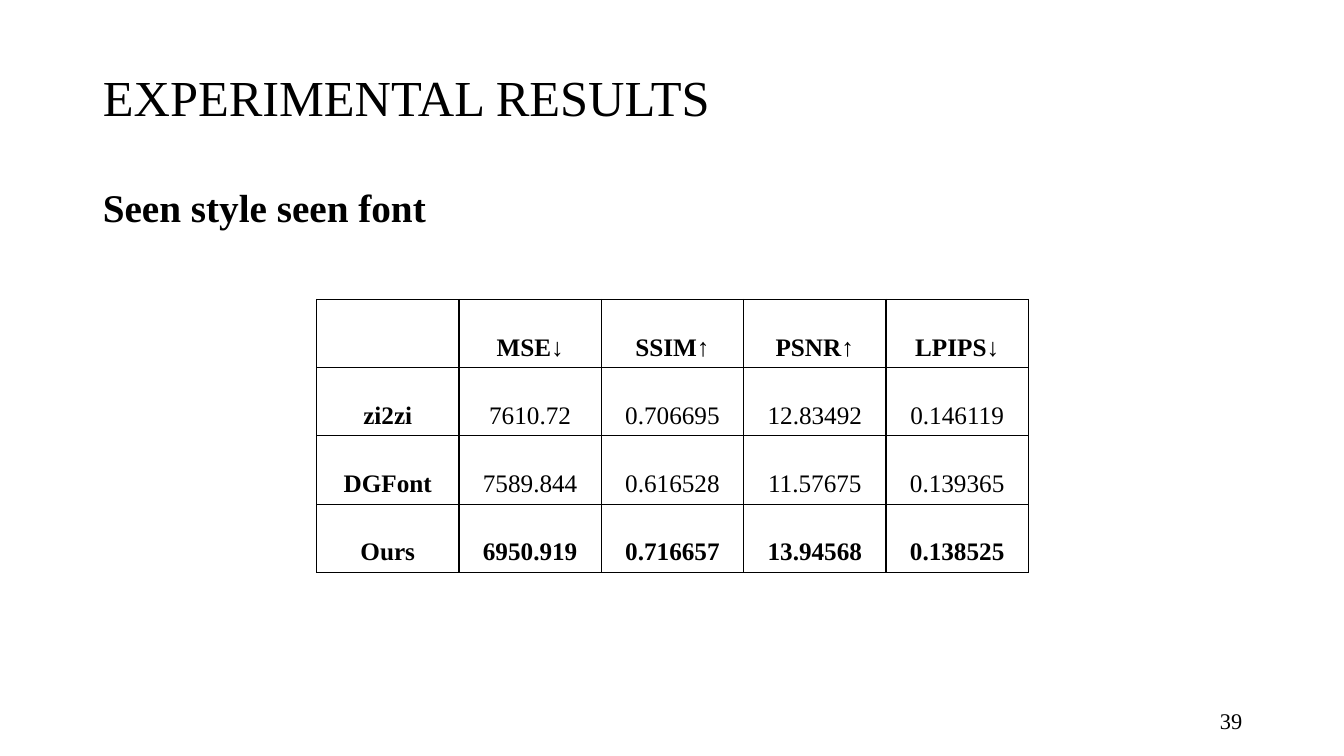
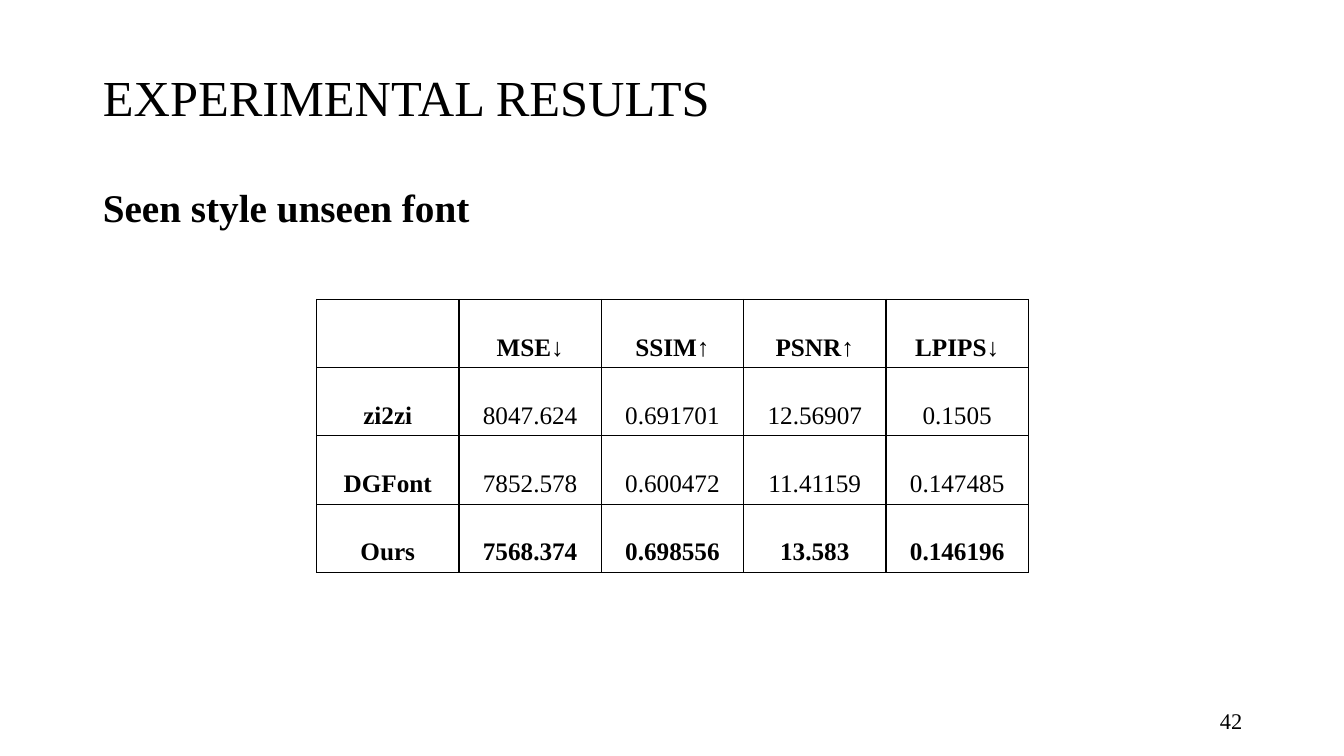
from lxml.etree import SubElement
from pptx import Presentation
from pptx.dml.color import RGBColor
from pptx.enum.text import MSO_ANCHOR, MSO_AUTO_SIZE, PP_ALIGN
from pptx.oxml.ns import qn
from pptx.util import Inches, Pt

FONT = "Times New Roman"
INK = "000000"
PAPER = "FFFFFF"

# Boxes: left, top, width, height in inches
TITLE_BOX = (0.92, 0.4, 11.5, 1.19)
BODY_BOX = (0.92, 1.82, 11.5, 5.19)
TABLE_BOX = (3.14, 2.97, 7.06, 2.71)
NUMBER_BOX = (9.42, 6.95, 3, 0.4)

METRICS = ["", "MSE↓", "SSIM↑", "PSNR↑", "LPIPS↓"]
RESULTS = [
    ("Seen style seen font", "39", [
        ["zi2zi", "7610.72", "0.706695", "12.83492", "0.146119"],
        ["DGFont", "7589.844", "0.616528", "11.57675", "0.139365"],
        ["Ours", "6950.919", "0.716657", "13.94568", "0.138525"],
    ]),
    ("Seen style unseen font", "42", [
        ["zi2zi", "8047.624", "0.691701", "12.56907", "0.1505"],
        ["DGFont", "7852.578", "0.600472", "11.41159", "0.147485"],
        ["Ours", "7568.374", "0.698556", "13.583", "0.146196"],
    ]),
]


def color(value):
    return RGBColor.from_string(value)


def place(shape, box):
    shape.left, shape.top, shape.width, shape.height = map(Inches, box)


def write(frame, text, size, align, bold=False, spacing=1.0):
    para = frame.paragraphs[0]
    para.alignment = align
    para.line_spacing = spacing
    para.space_before = Pt(0)
    span = para.add_run()
    span.text = text
    span.font.name = FONT
    span.font.size = Pt(size)
    span.font.bold = bold
    span.font.color.rgb = color(INK)


def fix_frame(frame, anchor):
    frame.word_wrap = True
    frame.auto_size = MSO_AUTO_SIZE.NONE
    frame.vertical_anchor = anchor


def add_title(page, box, text):
    title = page.shapes.title
    place(title, box)
    fix_frame(title.text_frame, MSO_ANCHOR.MIDDLE)
    write(title.text_frame, text, 36, PP_ALIGN.LEFT, spacing=0.9)


def add_heading(page, box, text):
    body = page.placeholders[1]
    place(body, box)
    frame = body.text_frame
    fix_frame(frame, MSO_ANCHOR.TOP)
    # Plain paragraph: no bullet, no hanging indent
    properties = frame.paragraphs[0]._p.get_or_add_pPr()
    properties.set("marL", "0")
    properties.set("indent", "0")
    SubElement(properties, qn("a:buNone"))
    write(frame, text, 28, PP_ALIGN.JUSTIFY, bold=True, spacing=0.9)


def add_borders(cell):
    properties = cell._tc.get_or_add_tcPr()
    for side in ("a:lnL", "a:lnR", "a:lnT", "a:lnB"):
        line = SubElement(properties, qn(side), w=str(Pt(1)))
        fill = SubElement(line, qn("a:solidFill"))
        SubElement(fill, qn("a:srgbClr"), val=INK)


def add_results_table(page, box, rows):
    table = page.shapes.add_table(
        len(rows), len(rows[0]), *map(Inches, box)).table
    table.first_row = table.horz_banding = False
    last_row = len(rows) - 1
    for row_index, row in enumerate(rows):
        for column_index, text in enumerate(row):
            cell = table.cell(row_index, column_index)
            add_borders(cell)
            cell.fill.background()
            cell.vertical_anchor = MSO_ANCHOR.MIDDLE
            cell.margin_left = cell.margin_right = Inches(0.07)
            cell.margin_top = cell.margin_bottom = 0
            if text:
                # Headers and the winning row stand out
                bold = row_index in (0, last_row) or column_index == 0
                write(cell.text_frame, text, 18, PP_ALIGN.CENTER, bold, 2.0)


def add_page_number(page, box, number):
    frame = page.shapes.add_textbox(*map(Inches, box)).text_frame
    fix_frame(frame, MSO_ANCHOR.MIDDLE)
    write(frame, number, 16, PP_ALIGN.RIGHT)


def add_results_page(deck, heading, number, rows):
    page = deck.slides.add_slide(deck.slide_layouts[1])
    add_title(page, TITLE_BOX, "EXPERIMENTAL RESULTS")
    add_heading(page, BODY_BOX, heading)
    add_results_table(page, TABLE_BOX, [METRICS] + rows)
    add_page_number(page, NUMBER_BOX, number)


def main():
    deck = Presentation()
    deck.slide_width = Inches(13.33)
    deck.slide_height = Inches(7.5)
    background = deck.slide_master.background.fill
    background.solid()
    background.fore_color.rgb = color(PAPER)
    for heading, number, rows in RESULTS:
        add_results_page(deck, heading, number, rows)
    deck.save("out.pptx")


if __name__ == "__main__":
    main()
